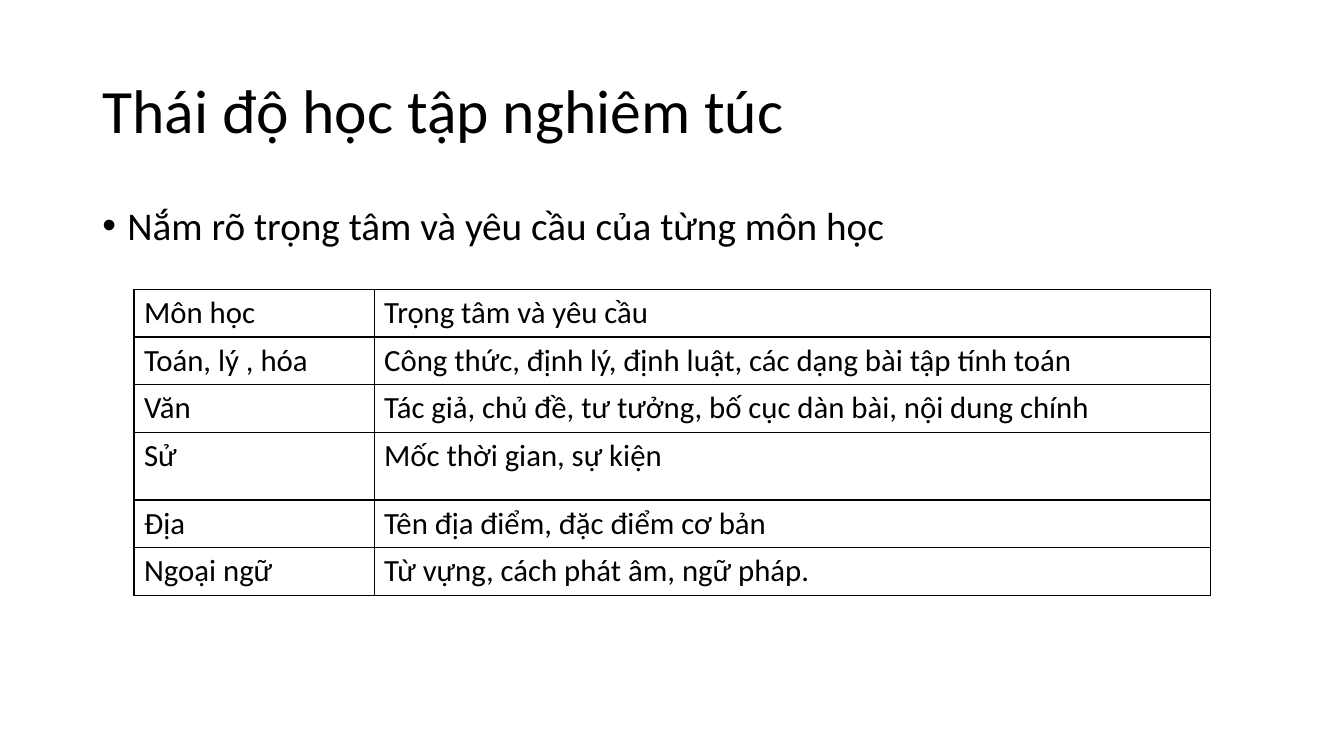
from dataclasses import dataclass

from lxml import etree
from pptx import Presentation
from pptx.dml.color import RGBColor
from pptx.enum.text import MSO_ANCHOR
from pptx.oxml.ns import qn
from pptx.slide import Slide
from pptx.table import _Cell
from pptx.text.text import _Paragraph
from pptx.util import Pt

MIDDLE = MSO_ANCHOR.MIDDLE
TOP = MSO_ANCHOR.TOP
BLACK = RGBColor(0x00, 0x00, 0x00)
FONT_NAME = "Calibri"
BORDER_SIDES = ("a:lnL", "a:lnR", "a:lnT", "a:lnB")
COLUMN_WIDTHS = (171.5, 597.5)


@dataclass(frozen=True)
class TextBlock:
    text: str
    top: float
    height: float
    size: float
    anchor: MSO_ANCHOR
    space_before: float = 0
    bullet_indent: float = 0


@dataclass(frozen=True)
class SubjectRow:
    subject: str
    focus: str
    height: float = 34


TEXT_BLOCKS = (
    TextBlock("Thái độ học tập nghiêm túc", 28.75, 104.4, 44, MIDDLE),
    TextBlock("Nắm rõ trọng tâm và yêu cầu của từng môn học", 143.75, 342.6, 28, TOP, 10, 18),
)

SUBJECT_ROWS = (
    SubjectRow("Môn học", "Trọng tâm và yêu cầu"),
    SubjectRow("Toán, lý , hóa", "Công thức, định lý, định luật, các dạng bài tập tính toán"),
    SubjectRow("Văn", "Tác giả, chủ đề, tư tưởng, bố cục dàn bài, nội dung chính"),
    SubjectRow("Sử", "Mốc thời gian, sự kiện", 48.5),
    SubjectRow("Địa", "Tên địa điểm, đặc điểm cơ bản"),
    SubjectRow("Ngoại ngữ", "Từ vựng, cách phát âm, ngữ pháp."),
)


def write_text(paragraph: _Paragraph, text: str, size: float) -> None:
    paragraph.text = text
    for run in paragraph.runs:
        run.font.name = FONT_NAME
        run.font.size = Pt(size)
        run.font.color.rgb = BLACK


def add_bullet(paragraph: _Paragraph, indent: float) -> None:
    properties = paragraph._p.get_or_add_pPr()
    properties.set("marL", str(Pt(indent)))
    properties.set("indent", str(-Pt(indent)))
    etree.SubElement(properties, qn("a:buFont"), typeface="Arial")
    etree.SubElement(properties, qn("a:buChar"), char="•")


def add_text_block(slide: Slide, block: TextBlock) -> None:
    shape = slide.shapes.add_textbox(Pt(66), Pt(block.top), Pt(828), Pt(block.height))
    text_frame = shape.text_frame
    text_frame.word_wrap = True
    text_frame.vertical_anchor = block.anchor
    paragraph = text_frame.paragraphs[0]
    write_text(paragraph, block.text, block.size)
    paragraph.line_spacing = 0.9
    paragraph.space_before = Pt(block.space_before)
    if block.bullet_indent:
        add_bullet(paragraph, block.bullet_indent)


def add_borders(cell: _Cell) -> None:
    properties = cell._tc.get_or_add_tcPr()
    for side in BORDER_SIDES:
        line = etree.SubElement(properties, qn(side), w=str(Pt(1)))
        fill = etree.SubElement(line, qn("a:solidFill"))
        etree.SubElement(fill, qn("a:srgbClr"), val=str(BLACK))


def add_subject_table(slide: Slide, rows: tuple[SubjectRow, ...]) -> None:
    width = sum(COLUMN_WIDTHS)
    height = sum(row.height for row in rows)
    table = slide.shapes.add_table(
        len(rows), len(COLUMN_WIDTHS), Pt(95.75), Pt(206.75), Pt(width), Pt(height)
    ).table
    table.first_row = False
    table.horz_banding = False
    for column, column_width in zip(table.columns, COLUMN_WIDTHS):
        column.width = Pt(column_width)
    for table_row, row in zip(table.rows, rows):
        table_row.height = Pt(row.height)
        for cell, text in zip(table_row.cells, (row.subject, row.focus)):
            write_text(cell.text_frame.paragraphs[0], text, 22)
            add_borders(cell)
            cell.fill.background()


presentation = Presentation()
presentation.slide_width = Pt(960)
presentation.slide_height = Pt(540)
slide = presentation.slides.add_slide(presentation.slide_layouts[6])
for text_block in TEXT_BLOCKS:
    add_text_block(slide, text_block)
add_subject_table(slide, SUBJECT_ROWS)
presentation.save("out.pptx")
